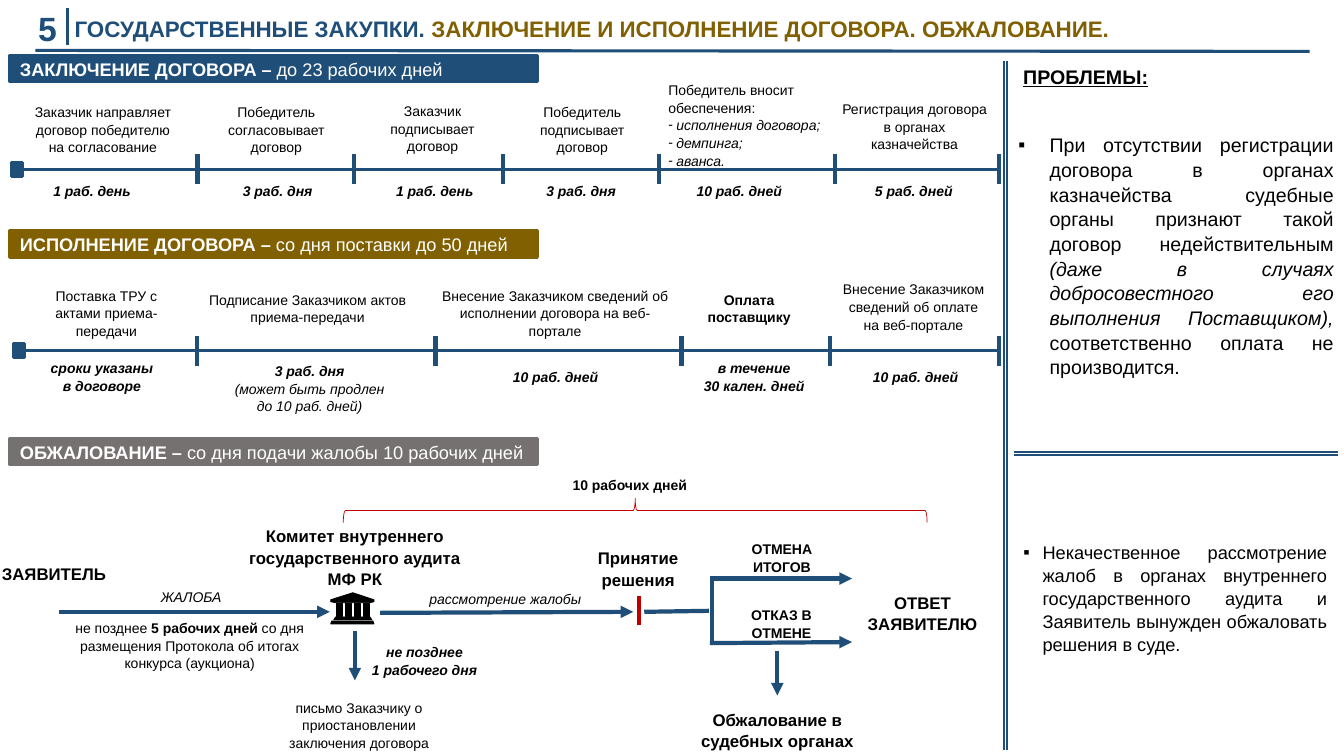
from lxml.etree import SubElement
from pptx import Presentation
from pptx.dml.color import RGBColor
from pptx.enum.shapes import MSO_CONNECTOR, MSO_SHAPE
from pptx.enum.text import MSO_ANCHOR, MSO_AUTO_SIZE, PP_ALIGN
from pptx.oxml.ns import qn
from pptx.util import Inches, Pt

THEME = {
    "font": "Arial", "blue": "1F4E79", "gold": "806000", "gray": "767171", "red": "C00000",
    "black": "000000", "white": "FFFFFF", "line_spacing": 1.05,
    "small": 10, "medium": 12, "banner": 13, "list": 14, "title": 16, "number": 24,
}
ALIGN = {"l": PP_ALIGN.LEFT, "c": PP_ALIGN.CENTER, "j": PP_ALIGN.JUSTIFY}

# Content: a paragraph is a list of (text, style) runs; styles are b, i, u
TITLE = [[("ГОСУДАРСТВЕННЫЕ ЗАКУПКИ. ", "b", "blue"),
          ("ЗАКЛЮЧЕНИЕ И ИСПОЛНЕНИЕ ДОГОВОРА. ОБЖАЛОВАНИЕ.", "b", "gold")]]
BANNERS = [
    (0.55, "blue", "ЗАКЛЮЧЕНИЕ ДОГОВОРА – ", "до 23 рабочих дней"),
    (2.29, "gold", "ИСПОЛНЕНИЕ ДОГОВОРА – ", "со дня поставки до 50 дней"),
    (4.35, "gray", "ОБЖАЛОВАНИЕ – ", "со дня подачи жалобы 10 рабочих дней"),
]
# Timelines: marker left and width, axis height, tick positions
TIMELINES = [
    (0.11, 0.11, 1.68, [1.96, 3.51, 4.99, 6.54, 8.28, 9.91]),
    (0.13, 0.11, 3.48, [1.95, 4.32, 6.76, 8.23, 9.91]),
]
# Labels: left, top, width, height, size, alignment, paragraphs
DURATIONS = [(0.43, 1.41, "1 раб. день"), (2.31, 1.21, "3 раб. дня"), (3.83, 1.27, "1 раб. день"),
             (5.32, 1.17, "3 раб. дня"), (6.81, 1.32, "10 раб. дней"), (8.58, 1.4, "5 раб. дней")]
LABELS = [(left, 1.75, width, 0.27, "small", "l", [[(text, "bi")]]) for left, width, text in DURATIONS] + [
    (0.24, 0.97, 1.56, 0.61, "small", "c", [[("Заказчик направляет договор победителю на согласование", "")]]),
    (2.13, 0.97, 1.22, 0.61, "small", "c", [[("Победитель согласовывает договор", "")]]),
    (3.71, 0.96, 1.16, 0.61, "small", "c", [[("Заказчик подписывает договор", "")]]),
    (5.04, 0.97, 1.47, 0.61, "small", "c", [[("Победитель подписывает договор", "")]]),
    (8.23, 0.94, 1.68, 0.61, "small", "c", [[("Регистрация договора в органах казначейства", "")]]),
    (0.4, 3.51, 1.22, 0.44, "small", "c", [[("сроки указаны в договоре", "bi")]]),
    (1.83, 3.54, 2.48, 0.61, "small", "c",
     [[("3 раб. дня", "bi")], [("(может быть продлен", "i")], [("до 10 раб. дней)", "i")]]),
    (4.56, 3.6, 1.9, 0.27, "small", "c", [[("10 раб. дней", "bi")]]),
    (6.66, 3.51, 1.64, 0.44, "small", "c", [[("в течение", "bi")], [("30 кален. дней", "bi")]]),
    (8.33, 3.6, 1.5, 0.27, "small", "c", [[("10 раб. дней", "bi")]]),
    (0.23, 2.79, 1.65, 0.61, "small", "c", [[("Поставка ТРУ с актами приема-передачи", "")]]),
    (1.93, 2.83, 2.24, 0.44, "small", "c", [[("Подписание Заказчиком актов", "")], [("приема-передачи", "")]]),
    (4.24, 2.79, 2.53, 0.61, "small", "c",
     [[("Внесение Заказчиком сведений об исполнении договора на веб-портале", "")]]),
    (6.7, 2.83, 1.46, 0.44, "small", "c", [[("Оплата поставщику", "b")]]),
    (8.24, 2.73, 1.64, 0.61, "small", "c", [[("Внесение Заказчиком сведений об оплате на веб-портале", "")]]),
    (-0.16, 5.53, 1.39, 0.3, "medium", "c", [[("ЗАЯВИТЕЛЬ", "b")]]),
    (2.3, 5.16, 2.44, 0.71, "medium", "c", [[("Комитет внутреннего государственного аудита МФ РК", "b")]]),
    (0.42, 6.09, 2.92, 0.63, "small", "c",
     [[("не позднее ", ""), ("5 рабочих дней ", "b"),
       ("со дня размещения Протокола об итогах конкурса (аукциона)", "")]]),
    (0.94, 5.78, 1.91, 0.27, "small", "c", [[("ЖАЛОБА", "i")]]),
    (4.05, 5.8, 1.92, 0.27, "small", "c", [[("рассмотрение жалобы", "i")]]),
    (5.58, 4.67, 1.41, 0.27, "small", "l", [[("10 рабочих дней", "b")]]),
    (3.53, 6.33, 1.36, 0.44, "small", "c", [[("не позднее", "bi")], [("1 рабочего дня", "bi")]]),
    (2.55, 6.88, 2.02, 0.61, "small", "c", [[("письмо Заказчику о приостановлении заключения договора", "")]]),
    (5.63, 5.38, 1.4, 0.5, "medium", "c", [[("Принятие решения", "b")]]),
    (7.34, 5.31, 0.83, 0.44, "small", "c", [[("ОТМЕНА ИТОГОВ", "b")]]),
    (7.32, 5.96, 0.86, 0.44, "small", "c", [[("ОТКАЗ В ОТМЕНЕ", "b")]]),
    (8.45, 5.82, 1.4, 0.5, "medium", "c", [[("ОТВЕТ ЗАЯВИТЕЛЮ", "b")]]),
    (6.77, 6.98, 1.88, 0.5, "medium", "c", [[("Обжалование в судебных органах", "b")]]),
    (10.05, 0.58, 1.47, 0.34, "list", "l", [[("ПРОБЛЕМЫ:", "bu")]]),
]
SECURITY_INTRO = [("Победитель вносит обеспечения:", "")]
SECURITY_ITEMS = ["исполнения договора;", "демпинга;", "аванса."]
# Problems: left, top, width, height, size, indent, paragraph
PROBLEMS = [
    (10, 1.26, 3.33, 2.46, "list", 0.31,
     [("При отсутствии регистрации договора в органах казначейства судебные органы "
       "признают такой договор недействительным ", ""),
      ("(даже в случаях добросовестного его выполнения Поставщиком), ", "i"),
      ("соответственно оплата не производится.", "")]),
    (10.05, 5.31, 3.21, 1.19, "banner", 0.19,
     [("Некачественное рассмотрение жалоб в органах внутреннего государственного аудита "
       "и Заявитель вынужден обжаловать решения в суде.", "")]),
]
# Lines: x1, y1, x2, y2, width, colour, arrow
RULES = [(0.67, 0.08, 0.67, 0.45, 2.25), (0.35, 0.5, 12.99, 0.51, 2.25),
         (9.96, 0.61, 9.96, 7.44, 1.5), (9.99, 0.61, 9.99, 7.44, 1.5),
         (13.27, 4.48, 10.06, 4.48, 1.5), (13.27, 4.51, 10.06, 4.51, 1.5)]
APPEAL_LINES = [(7.06, 5.74, 7.06, 6.37, "blue", False), (6.34, 5.91, 6.34, 6.2, "red", False),
                (7.03, 6.06, 6.39, 6.07, "blue", False), (0.59, 6.07, 3.27, 6.07, "blue", True),
                (3.77, 6.08, 6.28, 6.07, "blue", True), (3.52, 6.26, 3.52, 6.75, "blue", True),
                (7.04, 5.74, 8.45, 5.74, "blue", True), (7.04, 6.38, 8.45, 6.37, "blue", True),
                (7.71, 6.46, 7.71, 6.9, "blue", True)]

presentation = Presentation()
presentation.slide_width, presentation.slide_height = Inches(13.33), Inches(7.5)
slide = presentation.slides.add_slide(presentation.slide_layouts[3])
shapes = slide.shapes


def color(name):
    return RGBColor.from_string(THEME[name])


def place(shape, *box):
    for name, value in zip(("left", "top", "width", "height"), box):
        setattr(shape, name, Inches(value))


def write(shape, paragraphs, size, align="l", ink="black", anchor=MSO_ANCHOR.TOP):
    frame = shape.text_frame
    for name, value in {"word_wrap": True, "auto_size": MSO_AUTO_SIZE.NONE,
                        "vertical_anchor": anchor}.items():
        setattr(frame, name, value)
    for index, runs in enumerate(paragraphs):
        paragraph = frame.add_paragraph() if index else frame.paragraphs[0]
        for name, value in {"alignment": ALIGN[align], "space_before": Pt(0),
                            "line_spacing": THEME["line_spacing"]}.items():
            setattr(paragraph, name, value)
        for text, style, *own_ink in runs:
            run = paragraph.add_run()
            run.text = text
            for name, value in {"name": THEME["font"], "size": Pt(THEME[size]), "bold": "b" in style,
                                "italic": "i" in style, "underline": "u" in style}.items():
                setattr(run.font, name, value)
            run.font.color.rgb = color(own_ink[0] if own_ink else ink)


def add_bullet(paragraph, mark, indent):
    properties = paragraph._p.get_or_add_pPr()
    properties.set("marL", str(Inches(indent)))
    properties.set("indent", str(-Inches(indent)))
    SubElement(properties, qn("a:buFont")).set("typeface", THEME["font"])
    SubElement(properties, qn("a:buChar")).set("char", mark)


def add_label(left, top, width, height, size, align, paragraphs, ink="black"):
    box = shapes.add_textbox(*map(Inches, (left, top, width, height)))
    write(box, paragraphs, size, align, ink)
    return box


def paint(shape, fill, line, width):
    shape.shadow.inherit = False
    if fill:
        shape.fill.solid()
        shape.fill.fore_color.rgb = color(fill)
    else:
        shape.fill.background()
    shape.line.color.rgb = color(line)
    shape.line.width = Pt(width)


def add_bar(left, top, width, height, fill):
    bar = shapes.add_shape(MSO_SHAPE.ROUNDED_RECTANGLE, *map(Inches, (left, top, width, height)))
    bar.adjustments[0] = 0
    paint(bar, fill, fill, 2.25)
    return bar


def add_line(x1, y1, x2, y2, width, ink="blue", arrow=False):
    line = shapes.add_connector(MSO_CONNECTOR.STRAIGHT, *map(Inches, (x1, y1, x2, y2)))
    line.line.color.rgb = color(ink)
    line.line.width = Pt(width)
    if arrow:
        SubElement(line.line._get_or_add_ln(), qn("a:tailEnd")).set("type", "triangle")
    SubElement(line._element.spPr, qn("a:effectLst"))
    return line


# Heading and dividing rules
title, *problem_boxes = slide.placeholders
place(title, 0.64, 0.09, 12.14, 0.37)
write(title, TITLE, "title")
add_label(0.28, 0.01, 0.4, 0.5, "number", "l", [[("5", "b")]], "blue")
for rule in RULES:
    add_line(*rule)

# Section banners
for top, fill, name, term in BANNERS:
    banner = add_bar(0.1, top, 5.23, 0.26, fill)
    write(banner, [[(name, "b"), (term, "")]], "banner", ink="white", anchor=MSO_ANCHOR.MIDDLE)

# Timelines with ticks
for left, side, axis, ticks in TIMELINES:
    marker = add_bar(left, axis - 0.07, side, 0.14, "blue")
    add_line(ticks[-1], axis, left + side, axis, 2.25).end_connect(marker, 3)
    for tick in ticks:
        add_line(tick, axis - 0.15, tick, axis + 0.15, 3)

# Labels and the list of securities
for label in LABELS:
    add_label(*label)
securities = add_label(6.53, 0.75, 1.74, 0.94, "small", "l",
                       [SECURITY_INTRO] + [[(item, "i")] for item in SECURITY_ITEMS])
for paragraph in securities.text_frame.paragraphs[1:]:
    add_bullet(paragraph, "-", 0.08)

# Appeal flow with its time brace
for x1, y1, x2, y2, ink, arrow in APPEAL_LINES:
    add_line(x1, y1, x2, y2, 3, ink, arrow)
brace = shapes.add_shape(MSO_SHAPE.LEFT_BRACE, *map(Inches, (6.18, 2.17, 0.24, 5.79)))
brace.rotation = 90
paint(brace, None, "red", 0.5)

# Audit committee building: roof, columns, plinth and base
blocks = [[(3.34 + 0.087 * i, 5.99), (3.4 + 0.087 * i, 5.99),
           (3.4 + 0.087 * i, 6.12), (3.34 + 0.087 * i, 6.12)] for i in range(4)]
blocks += [[(3.33, 6.12), (3.67, 6.12), (3.69, 6.15), (3.31, 6.15)],
           [(3.29, 6.16), (3.7, 6.16), (3.71, 6.19), (3.28, 6.19)]]
builder = shapes.build_freeform(Inches(3.5), Inches(5.88))
builder.add_line_segments([(Inches(x), Inches(y)) for x, y in
                           [(3.71, 5.95), (3.71, 5.97), (3.67, 5.98), (3.33, 5.98), (3.28, 5.97), (3.28, 5.95)]])
for block in blocks:
    start, *rest = [(Inches(x), Inches(y)) for x, y in block]
    builder.move_to(*start).add_line_segments(rest)
paint(builder.convert_to_shape(), "black", "black", 0.5)

# Problems
for box, (left, top, width, height, size, indent, runs) in zip(problem_boxes, PROBLEMS):
    place(box, left, top, width, height)
    write(box, [runs], size, "j")
    add_bullet(box.text_frame.paragraphs[0], "▪", indent)

presentation.save("out.pptx")
